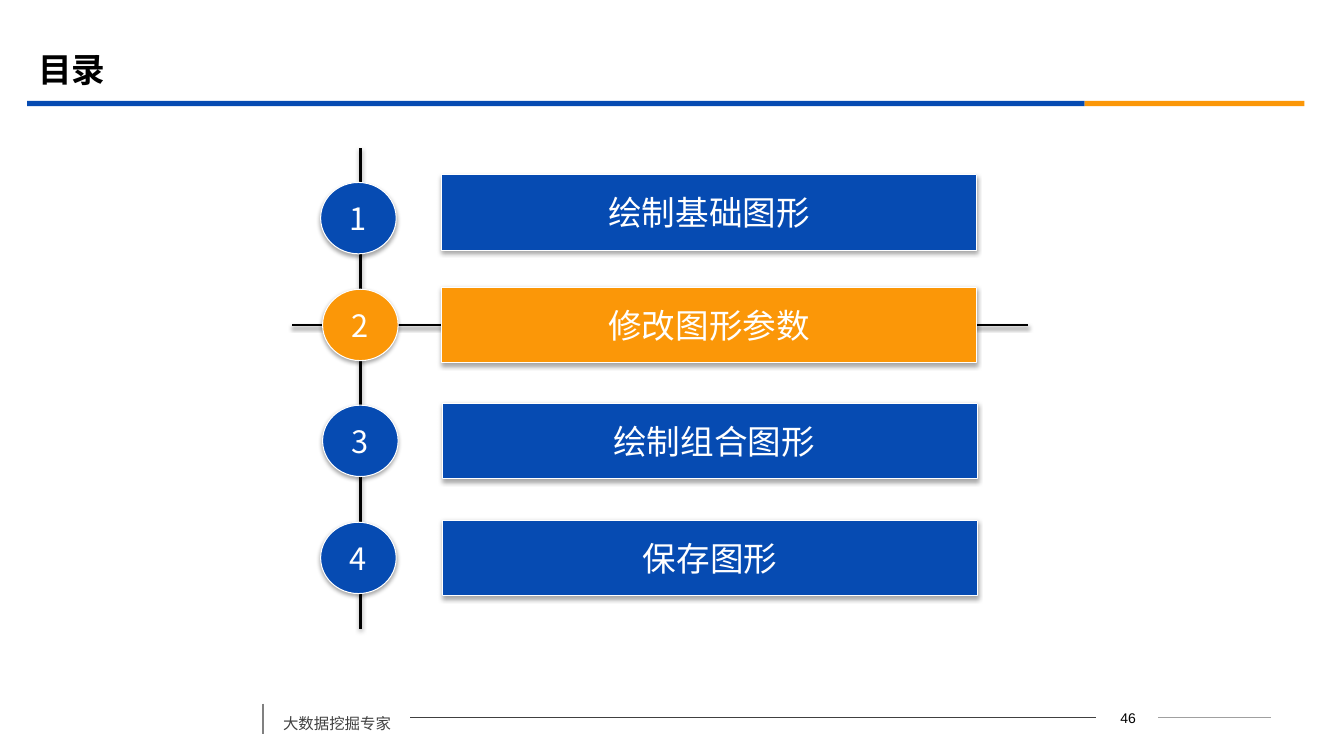
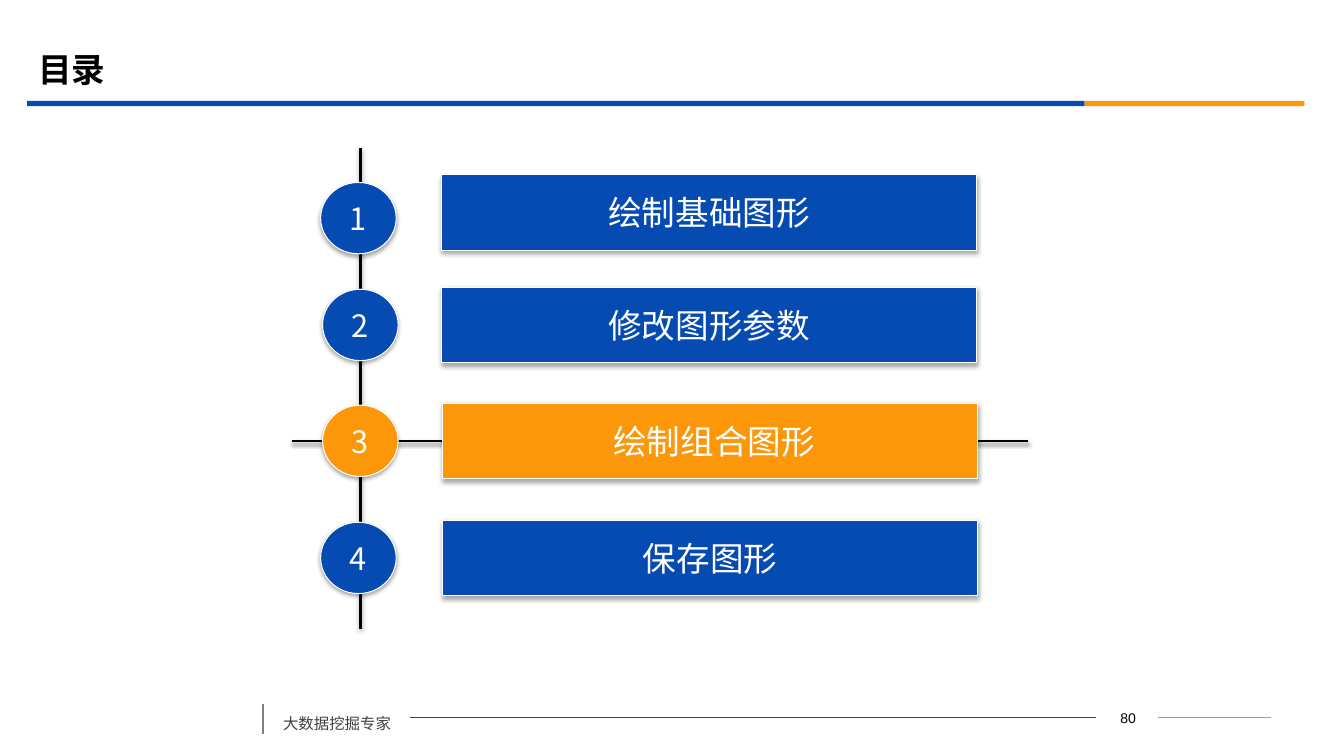
from dataclasses import dataclass

from lxml import etree
from pptx import Presentation, util as u
from pptx.dml.color import RGBColor
from pptx.enum import shapes, text
from pptx.oxml import ns

Pt = u.Pt
CJK, LATIN = "Noto Sans CJK SC", "Arial"
BLUE, ORANGE, WHITE, BLACK = "064BB2", "FB9708", "FFFFFF", "000000"
DARK, GREY, LIGHT = "404040", "808080", "A0A0A0"

AXIS_X = 257.4
BAR_W, BAR_H = 382.4, 54
DISC_W, DISC_H = 54, 51


@dataclass(frozen=True)
class Entry:
    label: str
    bar_left: float
    bar_top: float
    disc_left: float
    disc_top: float
    indent: float = 0


@dataclass(frozen=True)
class Rule:
    x1: float
    y1: float
    x2: float
    y2: float
    color: str
    width: float


ENTRIES = (
    Entry("绘制基础图形", 315.4, 124.6, 229, 130.3),
    Entry("修改图形参数", 315.4, 205.2, 230.4, 206.6),
    Entry("绘制组合图形", 316.1, 288, 230.4, 289.4, indent=5.4),
    Entry("保存图形", 316.1, 371.5, 229, 373),
)
FOOTER_RULES = (
    Rule(827.3, 512.6, 907.9, 512.6, LIGHT, 0.75),
    Rule(293, 512.6, 782.6, 512.6, DARK, 0.75),
    Rule(187.9, 502.6, 187.9, 524.2, GREY, 1.25),
)
# (page number, highlighted entry)
PAGES = ((46, 2), (80, 3))


def rgb(value: str) -> RGBColor:
    return RGBColor.from_string(value)


def set_effects(sp, alpha: int = 0, dist: float = 0) -> None:
    """Give a shape a soft downward shadow, or none when alpha is 0."""
    effects = etree.SubElement(sp._element.spPr, ns.qn("a:effectLst"))
    if alpha:
        shadow = etree.SubElement(
            effects, ns.qn("a:outerShdw"), blurRad=str(Pt(3.1)),
            dist=str(Pt(dist)), dir="5400000", rotWithShape="0")
        color = etree.SubElement(shadow, ns.qn("a:srgbClr"), val=BLACK)
        etree.SubElement(color, ns.qn("a:alpha"), val=str(alpha * 1000))


def write(sp, content: str, *, size: float, color: str, font: str = CJK,
          bold: bool = False, align=text.PP_ALIGN.CENTER, wrap: bool = True):
    tf = sp.text_frame
    tf.word_wrap = wrap
    tf.vertical_anchor = text.MSO_ANCHOR.MIDDLE
    p = tf.paragraphs[0]
    p.alignment = align
    r = p.add_run()
    r.text = content
    r.font.size, r.font.bold, r.font.name = Pt(size), bold, font
    r.font.color.rgb = rgb(color)
    etree.SubElement(r.font._element, ns.qn("a:ea"), typeface=font)
    return tf


def add_block(s, kind, left: float, top: float, width: float, height: float,
              fill: str, raised: bool = False):
    sp = s.shapes.add_shape(kind, Pt(left), Pt(top), Pt(width), Pt(height))
    sp.fill.solid()
    sp.fill.fore_color.rgb = rgb(fill)
    if raised:
        sp.line.color.rgb = rgb(WHITE)
        sp.line.width = Pt(0.75)
        set_effects(sp, 35, 1.8)
    else:
        sp.line.fill.background()
        sp.shadow.inherit = False
    return sp


def add_rule(s, rule: Rule, alpha: int = 0) -> None:
    line = s.shapes.add_connector(
        shapes.MSO_CONNECTOR.STRAIGHT,
        Pt(rule.x1), Pt(rule.y1), Pt(rule.x2), Pt(rule.y2))
    line.line.color.rgb = rgb(rule.color)
    line.line.width = Pt(rule.width)
    set_effects(line, alpha, 1.6)


def add_label(s, left: float, top: float, width: float, height: float,
              content: str, **style) -> None:
    box = s.shapes.add_textbox(Pt(left), Pt(top), Pt(width), Pt(height))
    tf = write(box, content, **style)
    tf.margin_top = tf.margin_bottom = 0


def add_frame(s, page: int) -> None:
    # Title and two-colour band
    title = s.shapes.title
    title.left, title.top = Pt(20.2), Pt(28.1)
    title.width, title.height = Pt(864), Pt(41.8)
    write(title, "目录", size=24, color=BLACK, bold=True,
          align=text.PP_ALIGN.LEFT)
    for left, width, color in ((19.4, 755.3, BLUE), (774.7, 157, ORANGE)):
        add_block(s, shapes.MSO_SHAPE.RECTANGLE, left, 72, width, 3.8, color)
    # Footer
    for rule in FOOTER_RULES:
        add_rule(s, rule)
    add_label(s, 195.1, 503, 97.9, 27.4, "大数据挖掘专家", size=11,
              color=DARK, align=text.PP_ALIGN.LEFT)
    add_label(s, 783.6, 503.6, 44.6, 18, str(page), size=10,
              color=BLACK, font=LATIN)


def add_contents(s, current: int) -> None:
    # Axis lines behind the entries
    middle = ENTRIES[current - 1].bar_top + BAR_H / 2
    add_rule(s, Rule(AXIS_X, 105.8, AXIS_X, 449.3, BLACK, 2), 38)
    add_rule(s, Rule(208.8, middle, 734.4, middle, BLACK, 2), 38)
    # Numbered entries
    for number, entry in enumerate(ENTRIES, 1):
        fill = ORANGE if number == current else BLUE
        bar = add_block(s, shapes.MSO_SHAPE.ACTION_BUTTON_CUSTOM,
                        entry.bar_left, entry.bar_top, BAR_W, BAR_H, fill, True)
        tf = write(bar, entry.label, size=24, color=WHITE, wrap=False)
        tf.margin_left = Pt(7.2 + entry.indent)
        disc = add_block(s, shapes.MSO_SHAPE.OVAL, entry.disc_left,
                         entry.disc_top, DISC_W, DISC_H, fill, True)
        write(disc, str(number), size=22, color=WHITE, wrap=False)


def main() -> None:
    prs = Presentation()
    prs.slide_width, prs.slide_height = Pt(960), Pt(540)
    for page, current in PAGES:
        s = prs.slides.add_slide(prs.slide_layouts[5])
        add_frame(s, page)
        add_contents(s, current)
    prs.save("out.pptx")


if __name__ == "__main__":
    main()
